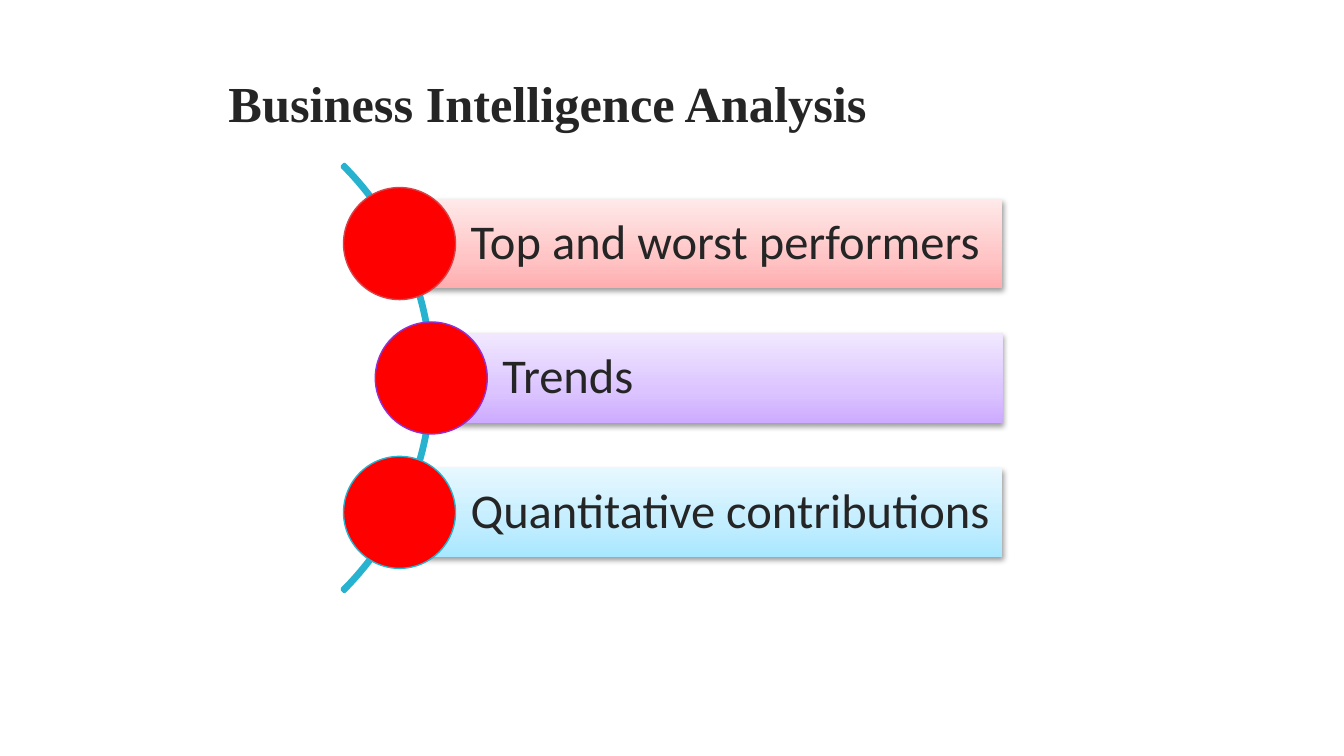
from copy import deepcopy
from math import sqrt

from lxml import etree
from pptx import Presentation
from pptx.dml.color import RGBColor
from pptx.enum.shapes import MSO_SHAPE
from pptx.enum.text import MSO_ANCHOR
from pptx.oxml.ns import qn
from pptx.util import Pt

ARC, BAR, CIRCLE = MSO_SHAPE.BLOCK_ARC, MSO_SHAPE.RECTANGLE, MSO_SHAPE.OVAL
BOTTOM, MIDDLE = MSO_ANCHOR.BOTTOM, MSO_ANCHOR.MIDDLE

TITLE = "Business Intelligence Analysis"
# Text, circle outline, bar gradient from bottom to top
ITEMS = [
    ("Top and worst performers", "D64349", ("FFADAF", "FFC5C6", "FFE9E9")),
    ("Trends", "8F32D6", ("CDABFF", "DBC4FF", "F1E8FF")),
    ("Quantitative contributions", "27B2D0", ("A8E7FF", "C1EDFF", "E8F8FF")),
]
THEME = {
    "text": "252525", "arc": "27B2D0", "circle": "FF0000", "shadow": "000000",
    "title_font": "Times New Roman", "title_size": 27,
    "body_font": "Calibri", "body_size": 26,
}
GRADIENT_POSITIONS = (0, 0.35, 1)

ARC_CENTER_X, ARC_CENTER_Y = 70.2, 202.5
ARC_SIZE, ARC_THICKNESS = 323.3, 0.005
ROW_PITCH, BAR_HEIGHT, BAR_RIGHT = 72, 48, 537.1
CIRCLE_SIZE, BAR_TEXT_INSET, BAR_MARGIN = 60, 38.1, 4.8


def add_text(shape, text, *, font, size, bold=False, anchor=MIDDLE,
             margins=(0, 0, 0, 0), line_spacing=None):
    """Margins are left, top, right, bottom in points."""
    frame = shape.text_frame
    frame.word_wrap = True
    frame.vertical_anchor = anchor
    (frame.margin_left, frame.margin_top,
     frame.margin_right, frame.margin_bottom) = map(Pt, margins)
    paragraph = frame.paragraphs[0]
    paragraph.alignment = 1
    if line_spacing:
        paragraph.line_spacing = line_spacing
    run = paragraph.add_run()
    run.text = text
    run.font.name, run.font.size, run.font.bold = font, Pt(size), bold
    run.font.color.rgb = RGBColor.from_string(THEME["text"])


def add_shape(slide, kind, left, top, width, height, fill=None, line=None, line_width=0.75):
    shape = slide.shapes.add_shape(kind, Pt(left), Pt(top), Pt(width), Pt(height))
    shape.shadow.inherit = False
    if fill:
        shape.fill.solid()
        shape.fill.fore_color.rgb = RGBColor.from_string(fill)
    else:
        shape.fill.background()
    if line:
        shape.line.color.rgb = RGBColor.from_string(line)
        shape.line.width = Pt(line_width)
    else:
        shape.line.fill.background()
    return shape


def set_gradient(shape, colors):
    shape.fill.gradient()
    shape.fill.gradient_angle = 90
    stop_list = shape._element.spPr.find(".//" + qn("a:gsLst"))
    stop_list.append(deepcopy(stop_list[-1]))
    for stop, position, color in zip(shape.fill.gradient_stops, GRADIENT_POSITIONS, colors):
        stop.position = position
        stop.color.rgb = RGBColor.from_string(color)


def set_shadow(shape):
    effects = shape._element.spPr.find(qn("a:effectLst"))
    shadow = etree.SubElement(effects, qn("a:outerShdw"), blurRad=str(Pt(3.1)),
                              dist=str(Pt(1.6)), dir="5400000", rotWithShape="0")
    color = etree.SubElement(shadow, qn("a:srgbClr"), val=THEME["shadow"])
    etree.SubElement(color, qn("a:alpha"), val="38000")


def add_arc(slide):
    radius = ARC_SIZE / 2
    arc = add_shape(slide, ARC, ARC_CENTER_X - radius, ARC_CENTER_Y - radius,
                    ARC_SIZE, ARC_SIZE, line=THEME["arc"], line_width=2)
    for index, value in enumerate((189, 27, ARC_THICKNESS)):
        arc.adjustments[index] = value


def add_item(slide, row, text, outline, gradient):
    """Add a bar whose circle is centred on the arc."""
    offset = (row - (len(ITEMS) - 1) / 2) * ROW_PITCH
    radius = ARC_SIZE * (1 - ARC_THICKNESS) / 2
    center_x = ARC_CENTER_X + sqrt(radius ** 2 - offset ** 2)
    center_y = ARC_CENTER_Y + offset

    bar = add_shape(slide, BAR, center_x, center_y - BAR_HEIGHT / 2,
                    BAR_RIGHT - center_x, BAR_HEIGHT)
    set_gradient(bar, gradient)
    set_shadow(bar)
    add_text(bar, text, font=THEME["body_font"], size=THEME["body_size"],
             margins=(BAR_TEXT_INSET, BAR_MARGIN, BAR_MARGIN, BAR_MARGIN), line_spacing=0.9)
    add_shape(slide, CIRCLE, center_x - CIRCLE_SIZE / 2, center_y - CIRCLE_SIZE / 2,
              CIRCLE_SIZE, CIRCLE_SIZE, fill=THEME["circle"], line=outline)


def main():
    presentation = Presentation()
    presentation.slide_width, presentation.slide_height = Pt(720), Pt(405)
    slide = presentation.slides.add_slide(presentation.slide_layouts[6])

    title = slide.shapes.add_textbox(Pt(122.4), Pt(24.5), Pt(491.8), Pt(46.8))
    add_text(title, TITLE, font=THEME["title_font"], size=THEME["title_size"],
             bold=True, anchor=BOTTOM)
    add_arc(slide)
    for row, item in enumerate(ITEMS):
        add_item(slide, row, *item)
    presentation.save("out.pptx")


if __name__ == "__main__":
    main()
